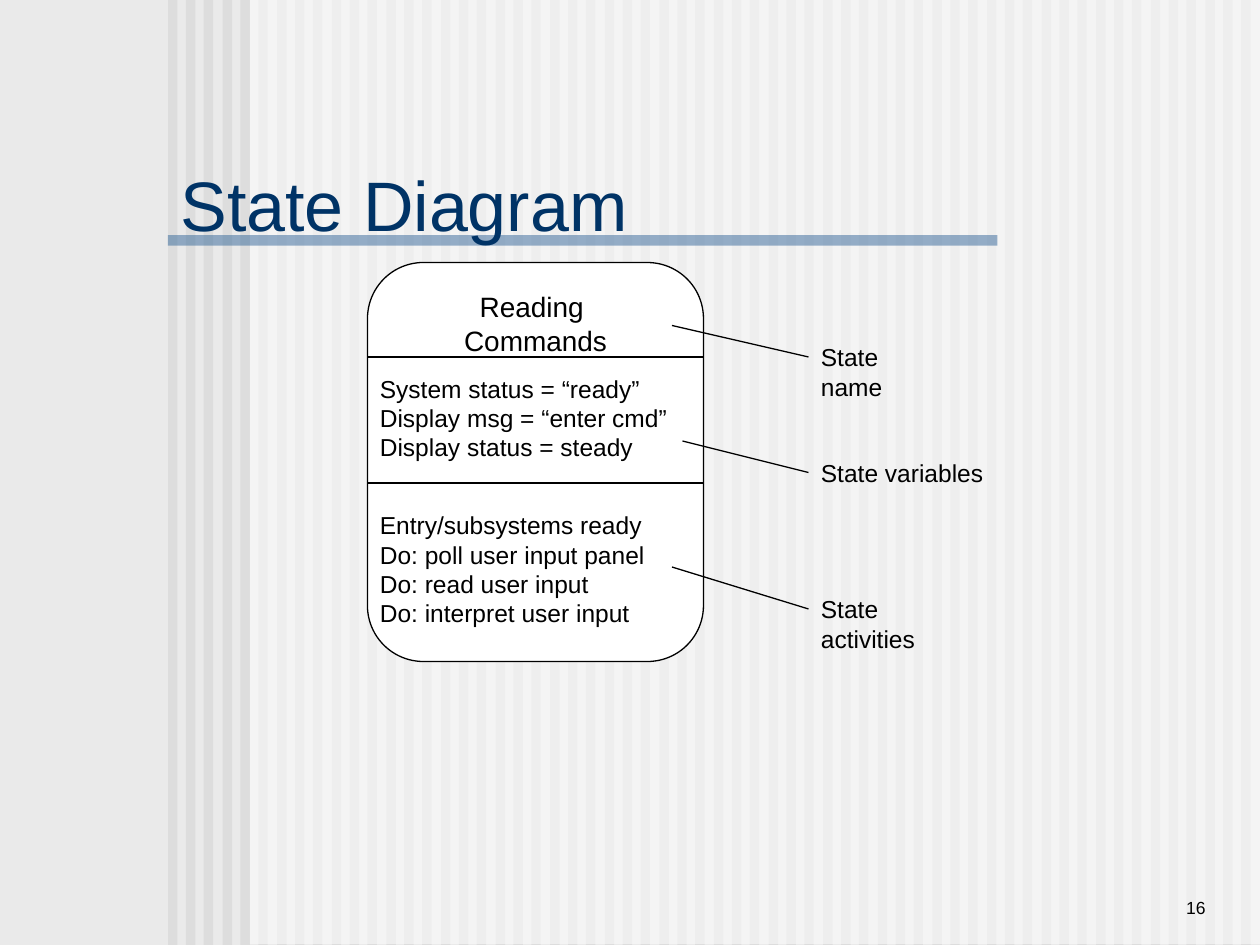
from lxml.etree import SubElement
from pptx import Presentation
from pptx.dml.color import RGBColor
from pptx.enum.shapes import MSO_CONNECTOR, MSO_SHAPE
from pptx.enum.text import MSO_ANCHOR, PP_ALIGN
from pptx.oxml.ns import qn
from pptx.util import Pt

PX = 7620  # 120 px to the inch
WIDTH, HEIGHT = 1200, 900
BLACK = RGBColor(0x00, 0x00, 0x00)
WHITE = RGBColor(0xFF, 0xFF, 0xFF)
PAPER = RGBColor(0xEA, 0xEA, 0xEA)
STRIPE = RGBColor(0xDD, 0xDD, 0xDD)
RULE_BLUE = RGBColor(0x33, 0x66, 0x99)
TITLE_BLUE = RGBColor(0x00, 0x33, 0x66)

prs = Presentation()
prs.slide_width, prs.slide_height = WIDTH * PX, HEIGHT * PX
slide = prs.slides.add_slide(prs.slide_layouts[6])
slide.background.fill.solid()
slide.background.fill.fore_color.rgb = PAPER
shapes = slide.shapes


def add_block(x, y, w, h, color, kind=MSO_SHAPE.RECTANGLE):
    block = shapes.add_shape(kind, x * PX, y * PX, w * PX, h * PX)
    block.shadow.inherit = False
    block.fill.solid()
    block.fill.fore_color.rgb = color
    block.line.fill.background()
    return block


def add_text(x, y, w, h, lines, size=14, color=BLACK, align=PP_ALIGN.LEFT,
             anchor=MSO_ANCHOR.TOP, wrap=True):
    frame = shapes.add_textbox(x * PX, y * PX, w * PX, h * PX).text_frame
    frame.word_wrap = wrap
    frame.vertical_anchor = anchor
    frame.text = "\n".join(lines)
    for paragraph in frame.paragraphs:
        paragraph.alignment = align
        paragraph.font.name = "Arial"
        paragraph.font.size = Pt(size)
        paragraph.font.color.rgb = color


# Striped background, with a pale veil and the title rule over it
for i in range(60):
    add_block(160 + i * 52 // 3, 0, 9, HEIGHT, STRIPE)
veil = add_block(238, 0, 962, HEIGHT - 1, WHITE)
title_rule = add_block(160, 224, 790, 10, RULE_BLUE)
for translucent in (veil, title_rule):
    color = translucent.fill._xPr.find(qn("a:solidFill"))[0]
    SubElement(color, qn("a:alpha"), val="50000")

add_text(990, 820, 170, 60, ["16"], size=10, align=PP_ALIGN.RIGHT,
         anchor=MSO_ANCHOR.BOTTOM)
add_text(160, 150, 570, 90, ["State Diagram"], size=40, color=TITLE_BLUE,
         anchor=MSO_ANCHOR.BOTTOM)

# State box
state = add_block(350, 250, 320, 380, WHITE, MSO_SHAPE.ROUNDED_RECTANGLE)
state.line.color.rgb = BLACK
state.line.width = Pt(0.75)
add_text(430, 270, 160, 77, ["Reading ", "Commands"], size=16,
         align=PP_ALIGN.CENTER)
add_text(350, 350, 310, 96, [
    "System status = “ready”",
    "Display msg = “enter cmd”",
    "Display status = steady",
])
add_text(350, 480, 310, 152, [
    "Entry/subsystems ready",
    "Do: poll user input panel",
    "Do: read user input",
    "Do: interpret user input",
])

# Labels of the three compartments
for label, top, width in (("State name", 320, 143),
                          ("State variables", 430, 179),
                          ("State activities", 560, 174)):
    add_text(770, top, width, 41, [label], wrap=False)

dividers = [(350, y, 670, y) for y in (340, 460)]
leaders = [(770, 340, 640, 310), (770, 450, 650, 420), (770, 580, 640, 540)]
for ends in dividers + leaders:
    line = shapes.add_connector(MSO_CONNECTOR.STRAIGHT, *(v * PX for v in ends))
    line.line.color.rgb = BLACK
    line.line.width = Pt(0.75)
    SubElement(line._element.spPr, qn("a:effectLst"))

prs.save("out.pptx")
